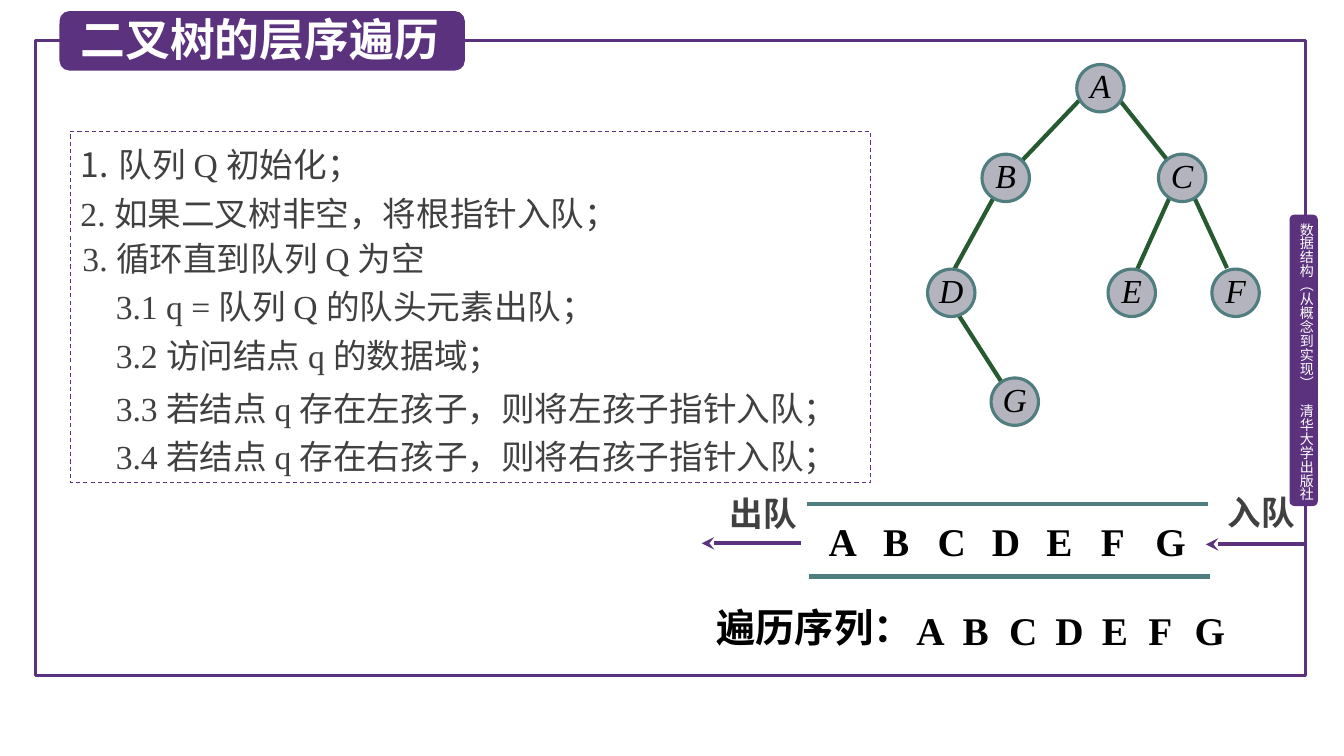
from dataclasses import dataclass
from typing import Optional

from lxml.etree import SubElement
from pptx import Presentation
from pptx.dml.color import RGBColor
from pptx.enum.dml import MSO_LINE
from pptx.enum.shapes import MSO_CONNECTOR, MSO_SHAPE
from pptx.enum.text import MSO_ANCHOR, PP_ALIGN
from pptx.oxml.ns import qn
from pptx.util import Inches, Pt

COLORS = {
    "purple": "5A327D", "teal": "507D7D", "green": "285A32", "node": "B4B4BE",
    "gray": "404040", "black": "000000", "white": "FFFFFF",
}
SERIF = "Times New Roman"
SANS = "Noto Sans CJK SC"
NODE_SIZE = 0.47


@dataclass
class Style:
    size: float
    color: str
    font: str = SERIF
    bold: bool = False
    italic: bool = False


@dataclass
class Node:
    letter: str
    left: float
    top: float


@dataclass
class Line:
    start: tuple[float, float]
    end: tuple[float, float]
    color: str
    arrow: bool = False


@dataclass
class Label:
    text: str
    left: float
    top: float
    width: float
    height: float
    style: Style


@dataclass
class Steps:
    top: float
    height: float
    lines: list[str]
    indent: float


BODY = Style(24, "gray")
QUEUE = Style(28, "black", bold=True)
CAPTION = Style(24, "gray", bold=True)
NODE = Style(24, "black", italic=True)

NODES = [
    Node("A", 10.68, 0.64), Node("B", 9.74, 1.53), Node("C", 11.49, 1.53),
    Node("D", 9.2, 2.67), Node("E", 10.99, 2.67), Node("F", 12.02, 2.67),
    Node("G", 9.83, 3.75),
]
EDGES = [
    Line((10.7, 1), (10.14, 1.59), "green"),
    Line((11.11, 1), (11.58, 1.59), "green"),
    Line((9.85, 1.97), (9.46, 2.68), "green"),
    Line((9.51, 3.13), (9.94, 3.8), "green"),
    Line((11.6, 1.96), (11.28, 2.67), "green"),
    Line((11.85, 1.97), (12.17, 2.66), "green"),
]
QUEUE_LINES = [
    Line((8, 5), (11.98, 5), "teal"),
    Line((8.02, 5.72), (12, 5.72), "teal"),
    Line((11.96, 5.4), (12.94, 5.4), "purple", arrow=True),
    Line((6.96, 5.39), (7.94, 5.39), "purple", arrow=True),
]
LABELS = [
    Label("遍历序列：", 7.01, 5.94, 2.2, 0.57, QUEUE),
    Label("入队", 12.08, 4.83, 1.03, 0.5, CAPTION),
    Label("出队", 7.14, 4.84, 1.03, 0.5, CAPTION),
]
STEPS = [
    Steps(2.23, 0.55, ["3. 循环直到队列 Q 为空"], 0),
    Steps(2.71, 1.07, ["3.1 q = 队列 Q 的队头元素出队；", "3.2 访问结点 q 的数据域；"], 0.33),
    Steps(3.72, 1.07, ["3.3 若结点 q 存在左孩子，则将左孩子指针入队；",
                       "3.4 若结点 q 存在右孩子，则将右孩子指针入队；"], 0.33),
]


def rgb(name: str) -> RGBColor:
    return RGBColor.from_string(COLORS[name])


def write(shape, lines: list[str], style: Style, margin: Optional[float] = None) -> None:
    frame = shape.text_frame
    frame.word_wrap = True
    frame.text = "\n".join(lines)
    if margin is not None:
        frame.margin_left = frame.margin_right = Inches(margin)
        frame.margin_top = frame.margin_bottom = Inches(margin)
    for para in frame.paragraphs:
        para.alignment = PP_ALIGN.LEFT
        for span in para.runs:
            font = span.font
            font.size = Pt(style.size)
            font.bold = style.bold
            font.italic = style.italic
            font.color.rgb = rgb(style.color)
            font.name = style.font
            SubElement(font._element, qn("a:ea"), typeface=SANS)


def add_shape(page, kind, left: float, top: float, width: float, height: float,
              fill: Optional[str] = None, line: Optional[str] = None, weight: float = 2.25):
    shape = page.shapes.add_shape(kind, Inches(left), Inches(top), Inches(width), Inches(height))
    shape.shadow.inherit = False
    if fill:
        shape.fill.solid()
        shape.fill.fore_color.rgb = rgb(fill)
    else:
        shape.fill.background()
    if line:
        shape.line.color.rgb = rgb(line)
        shape.line.width = Pt(weight)
    else:
        shape.line.fill.background()
    return shape


def add_label(page, label: Label):
    box = page.shapes.add_textbox(Inches(label.left), Inches(label.top),
                                  Inches(label.width), Inches(label.height))
    write(box, [label.text], label.style)
    return box


def add_line(page, line: Line) -> None:
    x1, y1, x2, y2 = (Inches(v) for v in (*line.start, *line.end))
    connector = page.shapes.add_connector(MSO_CONNECTOR.STRAIGHT, x1, y1, x2, y2)
    connector.line.color.rgb = rgb(line.color)
    connector.line.width = Pt(3)
    if line.arrow:
        SubElement(connector.line._get_or_add_ln(), qn("a:headEnd"), type="stealth")
    SubElement(connector._element.spPr, qn("a:effectLst"))


def add_node(page, node: Node) -> None:
    circle = add_shape(page, MSO_SHAPE.OVAL, node.left, node.top, NODE_SIZE, NODE_SIZE,
                       "node", "teal")
    write(circle, [node.letter], NODE, margin=0)
    circle.text_frame.vertical_anchor = MSO_ANCHOR.MIDDLE
    para = circle.text_frame.paragraphs[0]
    para.alignment = PP_ALIGN.CENTER
    para.line_spacing = Pt(25)


def add_letters(page, left: float, top: float, step: float) -> None:
    for index, letter in enumerate("ABCDEFG"):
        add_label(page, Label(letter, left + index * step, top, 0.52, 0.57, QUEUE))


def add_steps(page, steps: Steps) -> None:
    box = page.shapes.add_textbox(Inches(0.72), Inches(steps.top), Inches(7.93), Inches(steps.height))
    write(box, steps.lines, BODY)
    for para in box.text_frame.paragraphs:
        para.line_spacing = 1.2
        para._p.get_or_add_pPr().set("marL", str(Inches(steps.indent)))


def add_first_steps(page) -> None:
    box = add_shape(page, MSO_SHAPE.RECTANGLE, 0.7, 1.3, 7.93, 3.49, line="purple", weight=0.75)
    box.line.dash_style = MSO_LINE.DASH
    write(box, ["队列 Q 初始化；", "2. 如果二叉树非空，将根指针入队；"], BODY)
    box.text_frame.vertical_anchor = MSO_ANCHOR.TOP
    for para in box.text_frame.paragraphs:
        para.line_spacing = 1.2
        props = para._p.get_or_add_pPr()
        props.set("marL", str(Inches(0.38)))
        props.set("indent", str(Inches(-0.38)))
    first = box.text_frame.paragraphs[0]._p.get_or_add_pPr()
    SubElement(first, qn("a:buFont"), typeface=SANS)
    SubElement(first, qn("a:buAutoNum"), type="arabicPeriod")


def main() -> None:
    deck = Presentation()
    deck.slide_width, deck.slide_height = Inches(13.33), Inches(7.5)
    page = deck.slides.add_slide(deck.slide_layouts[6])

    # Frame and side tab
    add_shape(page, MSO_SHAPE.RECTANGLE, 0.35, 0.4, 12.6, 6.3, line="purple")
    add_shape(page, MSO_SHAPE.ROUNDED_RECTANGLE, 12.79, 2.13, 0.28, 2.89, "purple")
    side = add_label(page, Label("数据结构（从概念到实现）　清华大学出版社", 12.87, 2.21, 0.17, 2.81,
                                 Style(10, "white", SANS)))
    side_body = side.text_frame._txBody.bodyPr
    side_body.set("vert", "eaVert")
    for inset in ("lIns", "tIns", "rIns", "bIns"):
        side_body.set(inset, "0")

    # Binary tree
    for edge in EDGES:
        add_line(page, edge)
    for node in NODES:
        add_node(page, node)

    # Algorithm steps
    add_first_steps(page)
    for steps in STEPS:
        add_steps(page, steps)

    # Queue and traversal sequence
    for line in QUEUE_LINES:
        add_line(page, line)
    for label in LABELS:
        add_label(page, label)
    add_letters(page, 8.12, 5.08, 0.54)
    add_letters(page, 8.99, 5.97, 0.46)

    # Title
    add_shape(page, MSO_SHAPE.ROUNDED_RECTANGLE, 0.59, 0.11, 4.02, 0.59, "purple")
    add_label(page, Label("二叉树的层序遍历", 0.7, 0.07, 3.89, 0.64,
                          Style(32, "white", SANS, bold=True)))

    deck.save("out.pptx")


if __name__ == "__main__":
    main()
